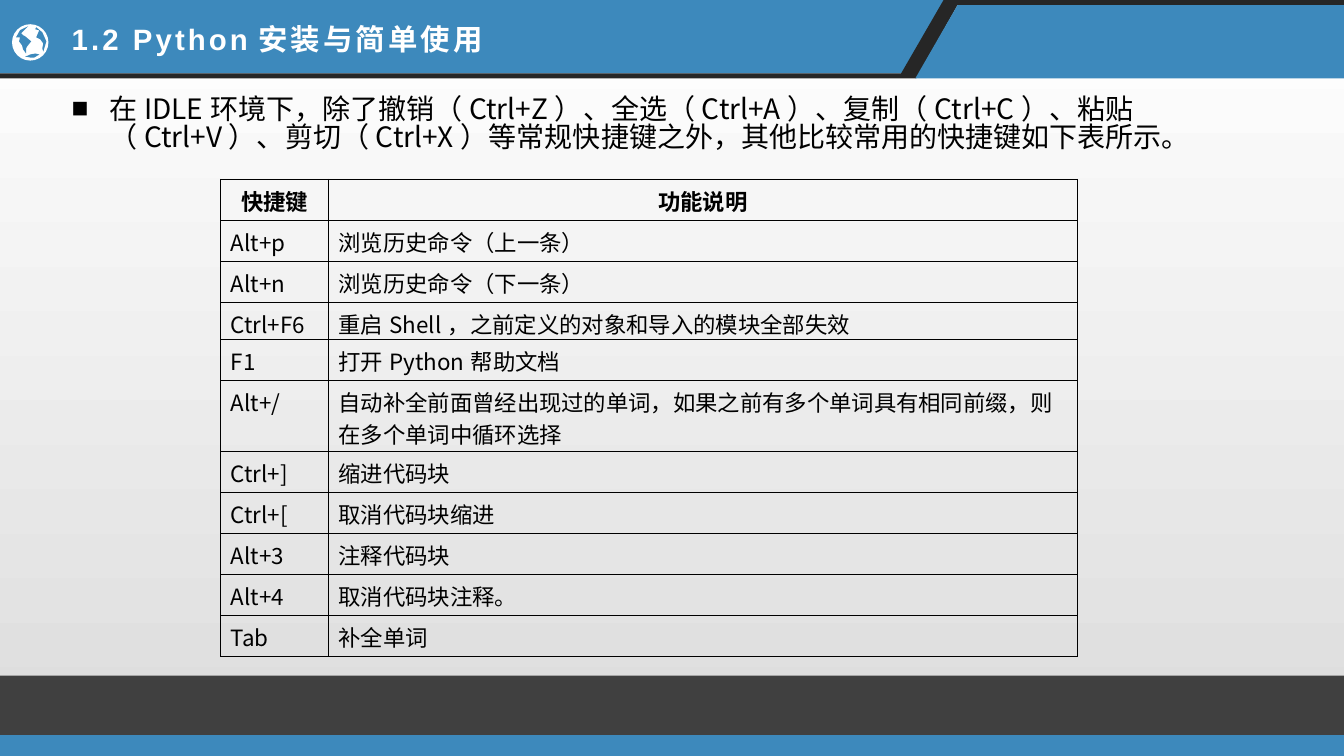
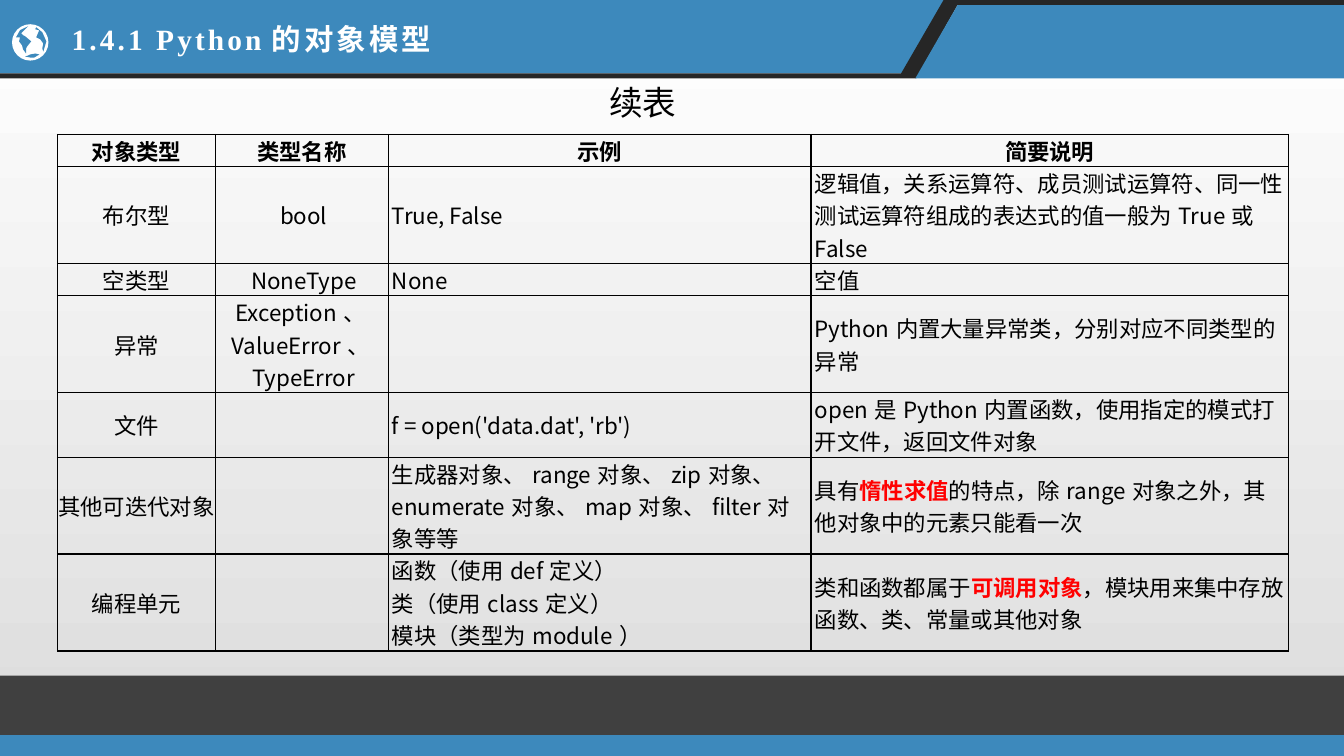
from collections import namedtuple

from lxml.etree import SubElement
from pptx import Presentation
from pptx.dml.color import RGBColor
from pptx.enum.shapes import MSO_SHAPE
from pptx.enum.text import MSO_ANCHOR, MSO_AUTO_SIZE, PP_ALIGN
from pptx.oxml import parse_xml
from pptx.oxml.ns import nsdecls, qn
from pptx.util import Pt

BLUE = RGBColor(0x3D, 0x89, 0xBC)
DARK = RGBColor(0x26, 0x26, 0x26)
GREY = RGBColor(0x40, 0x40, 0x40)
PALE = RGBColor(0xDC, 0xDC, 0xDC)
WHITE = RGBColor(0xFF, 0xFF, 0xFF)
BLACK = RGBColor(0, 0, 0)
RED = RGBColor(0xFF, 0, 0)
SANS = "Noto Sans CJK SC"

Box = namedtuple("Box", "x y w h")
PAGE = Box(0, 0, 960, 540)
HEAD = Box(0, 0, 960, 56)
FOOT = Box(0, 482.5, 960, 57.5)
GLOBE = Box(8.6, 17.3, 26, 26)
TITLE = Box(44, 11.5, 425, 32.4)

LANDS = [
    [(34, 17), (31, 27), (30, 24), (31, 19), (28, 15), (24, 13), (27, 6),
     (23, 5), (24, 3), (30, 8)],
    [(16, 2), (14, 4), (12, 6), (9, 9), (11, 11), (13, 12), (19, 17),
     (15, 22), (14, 24), (14, 29), (11, 25), (10, 21), (7, 17), (8, 13),
     (4, 13), (8, 6)],
    [(13, 32), (16, 31), (18, 30), (23, 29), (27, 30), (22, 33), (18, 33)],
]

KEYS = [
    ("快捷键", "功能说明"),
    ("Alt+p", "浏览历史命令（上一条）"),
    ("Alt+n", "浏览历史命令（下一条）"),
    ("Ctrl+F6", "重启Shell，之前定义的对象和导入的模块全部失效"),
    ("F1", "打开Python帮助文档"),
    ("Alt+/", "自动补全前面曾经出现过的单词，如果之前有多个单词具有相同前缀，则在多个单词中循环选择"),
    ("Ctrl+]", "缩进代码块"),
    ("Ctrl+[", "取消代码块缩进"),
    ("Alt+3", "注释代码块"),
    ("Alt+4", "取消代码块注释。"),
    ("Tab", "补全单词"),
]
TYPES = [
    ("对象类型", "类型名称", "示例", "简要说明"),
    ("布尔型", "bool", "True, False",
     "逻辑值，关系运算符、成员测试运算符、同一性测试运算符组成的表达式的值一般为True或False"),
    ("空类型", "NoneType", "None", "空值"),
    ("异常", "Exception、ValueError、TypeError", "",
     "Python内置大量异常类，分别对应不同类型的异常"),
    ("文件", "", "f = open('data.dat', 'rb')",
     "open是Python内置函数，使用指定的模式打开文件，返回文件对象"),
    ("其他可迭代对象", "",
     "生成器对象、range对象、zip对象、enumerate对象、map对象、filter对象等等",
     "具有*惰性求值*的特点，除range对象之外，其他对象中的元素只能看一次"),
    ("编程单元", "",
     "函数（使用def定义）\n类（使用class定义）\n模块（类型为module）",
     "类和函数都属于*可调用对象*，模块用来集中存放函数、类、常量或其他对象"),
]


def span(box):
    return [Pt(v) for v in box]


def paint(shape, color):
    shape.shadow.inherit = False
    shape.fill.solid()
    shape.fill.fore_color.rgb = color
    shape.line.fill.background()
    return shape


def block(slide, kind, box, color):
    return paint(slide.shapes.add_shape(kind, *span(box)), color)


def outline(slide, box, points, color, scale=1):
    spots = [(Pt(box.x + x * scale), Pt(box.y + y * scale)) for x, y in points]
    pen = slide.shapes.build_freeform(*spots[0], scale=1.0)
    pen.add_line_segments(spots[1:], close=True)
    return paint(pen.convert_to_shape(), color)


def header(slide, box):
    right, low, rim = box.w, box.h, 3.6
    edge = low - rim
    return [
        outline(slide, box, [(0, 0), (677, 0), (647, edge), (0, edge)], BLUE),
        outline(slide, box, [(674, 0), (right, 0), (right, rim), (684, rim),
                             (654.5, low), (0, low), (0, edge), (643.7, edge)], DARK),
        outline(slide, box, [(684, rim), (right, rim), (right, low), (653.8, low)], BLUE),
    ]


def footer(slide, box):
    base = 15
    top = Box(box.x, box.y, box.w, box.h - base)
    strip = Box(box.x, box.y + box.h - base, box.w, base)
    return [block(slide, MSO_SHAPE.RECTANGLE, top, GREY),
            block(slide, MSO_SHAPE.RECTANGLE, strip, BLUE)]


def globe(slide, box):
    disc = block(slide, MSO_SHAPE.OVAL, box, WHITE)
    return [disc] + [outline(slide, box, land, BLUE, box.w / 36) for land in LANDS]


def share(slide, layout):
    fill = layout.background.fill
    fill.gradient()
    fill.gradient_angle = 270
    for stop, color in zip(fill.gradient_stops, (WHITE, PALE)):
        stop.color.rgb = color
    fill.gradient_stops[0].position = 0
    fill.gradient_stops[1].position = 1
    parts = header(slide, HEAD) + footer(slide, FOOT) + globe(slide, GLOBE)
    for num, part in enumerate(parts, 20):
        part.element.nvSpPr.cNvPr.set("id", str(num))
        layout.shapes.element.append(part.element)


def write(para, text, size, color=BLACK, bold=False, face=SANS):
    run = para.add_run()
    run.text = text
    font = run.font
    font.size, font.bold, font.name = Pt(size), bold, face
    font.color.rgb = color
    props = run.font._element
    SubElement(props, qn("a:ea")).set("typeface", SANS)
    return props


def title(slide, box, text, face):
    shape = slide.shapes.title
    shape.left, shape.top, shape.width, shape.height = span(box)
    frame = shape.text_frame
    frame.auto_size = MSO_AUTO_SIZE.NONE
    frame.vertical_anchor = MSO_ANCHOR.MIDDLE
    para = frame.paragraphs[0]
    para.alignment = PP_ALIGN.LEFT
    write(para, text, 21, WHITE, True, face).set("spc", "220")


def note(slide, box, text, size):
    frame = slide.shapes.add_textbox(*span(box)).text_frame
    frame.word_wrap = True
    para = frame.paragraphs[0]
    para.line_spacing = 0.82
    write(para, text, size)
    return para


def bullet(para, indent):
    props = para._p.get_or_add_pPr()
    props.set("marL", str(Pt(indent)))
    props.set("indent", str(-Pt(indent)))
    SubElement(props, qn("a:buFont")).set("typeface", "Arial")
    SubElement(props, qn("a:buChar")).set("char", "■")


def border(cell):
    props = cell._tc.get_or_add_tcPr()
    for num, side in enumerate("LRTB"):
        props.insert(num, parse_xml(
            f'<a:ln{side} {nsdecls("a")} w="{Pt(1)}"><a:solidFill>'
            f'<a:srgbClr val="{BLACK}"/></a:solidFill></a:ln{side}>'))


def fill_cell(cell, text, center, bold, pads, anchor):
    cell.fill.background()
    border(cell)
    cell.vertical_anchor = anchor
    (cell.margin_left, cell.margin_top,
     cell.margin_right, cell.margin_bottom) = [Pt(v) for v in pads]
    frame = cell.text_frame
    for num, line in enumerate(text.split("\n") if text else []):
        para = frame.add_paragraph() if num else frame.paragraphs[0]
        para.alignment = PP_ALIGN.CENTER if center else PP_ALIGN.LEFT
        for turn, part in enumerate(line.split("*")):
            red = turn % 2 == 1
            write(para, part, 16, RED if red else BLACK, bold or red)


def grid(slide, box, data, widths, heights, mids, pads, anchor):
    table = slide.shapes.add_table(len(data), len(widths), *span(box)).table
    table.first_row = table.horz_banding = False
    for col, width in zip(table.columns, widths):
        col.width = Pt(width)
    for row, height in zip(table.rows, heights):
        row.height = Pt(height)
    for r, line in enumerate(data):
        for c, text in enumerate(line):
            top = r == 0
            fill_cell(table.cell(r, c), text, top or c in mids, top, pads(r, c), anchor)


def key_slide(slide, box):
    title(slide, TITLE, "1.2 Python安装与简单使用", "Arial")
    para = note(slide, Box(box.x + 44, box.y + 66.2, 855, 55.4),
                "在IDLE环境下，除了撤销（Ctrl+Z）、全选（Ctrl+A）、复制（Ctrl+C）、粘贴（Ctrl+V）、"
                "剪切（Ctrl+X）等常规快捷键之外，其他比较常用的快捷键如下表所示。", 20)
    para.space_after = Pt(6)
    bullet(para, 27)
    tall = [29.3] * len(KEYS)
    tall[3], tall[5] = 26.6, 50.4
    grid(slide, Box(box.x + 157.6, box.y + 128.2, 612, sum(tall)), KEYS, [77, 535],
         tall, (), lambda r, c: (7.2, 3.6, 7.2, 3.6), MSO_ANCHOR.TOP)


def type_slide(slide, box):
    title(slide, TITLE, "1.4.1 Python的对象模型", "Times New Roman")
    lines = [1, 3, 1, 3, 2, 3, 3]
    tall = [22.5 * n for n in lines]
    grid(slide, Box(box.x + 41, box.y + 96, 879.5, sum(tall)), TYPES,
         [113, 123.3, 302, 341.2], tall, (0, 1),
         lambda r, c: (2.7 if r and c else 0, 0, 0, 0), MSO_ANCHOR.MIDDLE)
    para = note(slide, Box(box.x + 376.5, box.y + 59.8, 165, 36), "续表", 24)
    para.alignment = PP_ALIGN.CENTER


def main():
    prs = Presentation()
    prs.slide_width, prs.slide_height = Pt(PAGE.w), Pt(PAGE.h)
    layout = prs.slide_layouts[5]
    slides = [prs.slides.add_slide(layout) for _ in range(2)]
    share(slides[0], layout)
    key_slide(slides[0], PAGE)
    type_slide(slides[1], PAGE)
    prs.save("out.pptx")


if __name__ == "__main__":
    main()
